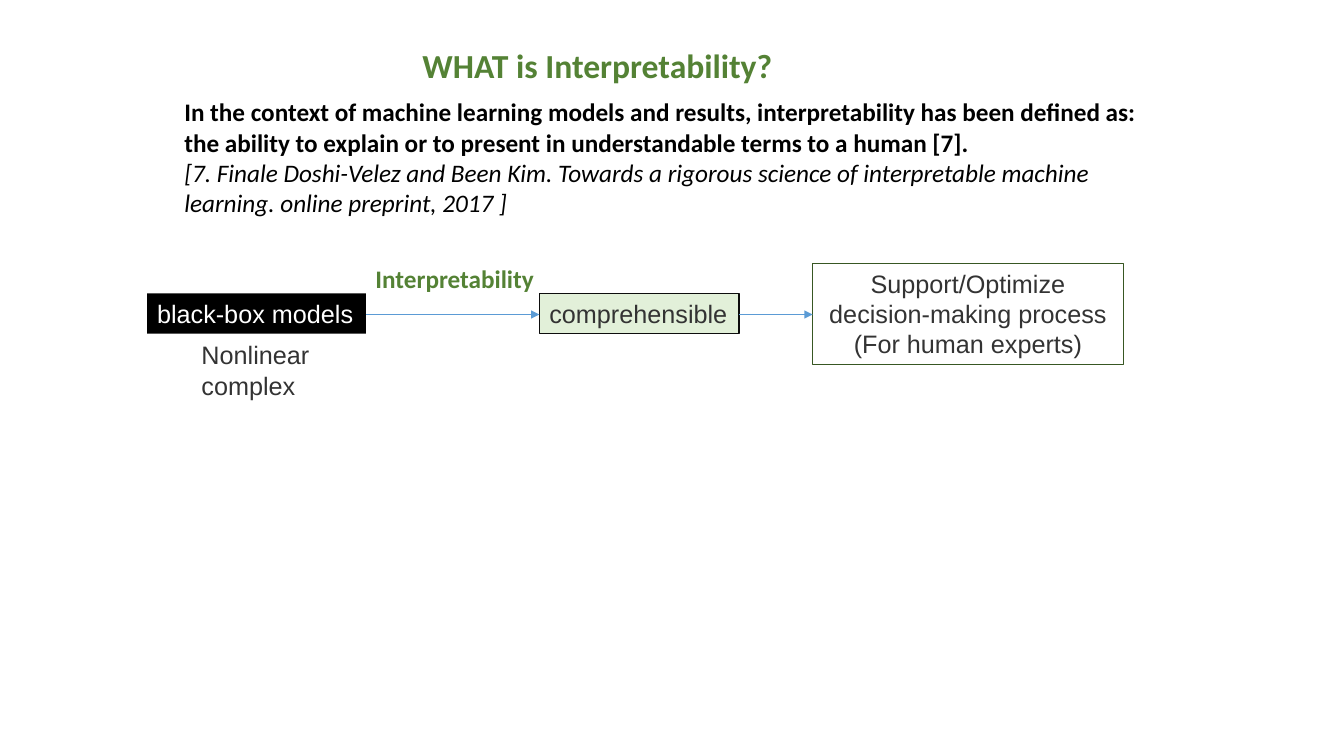
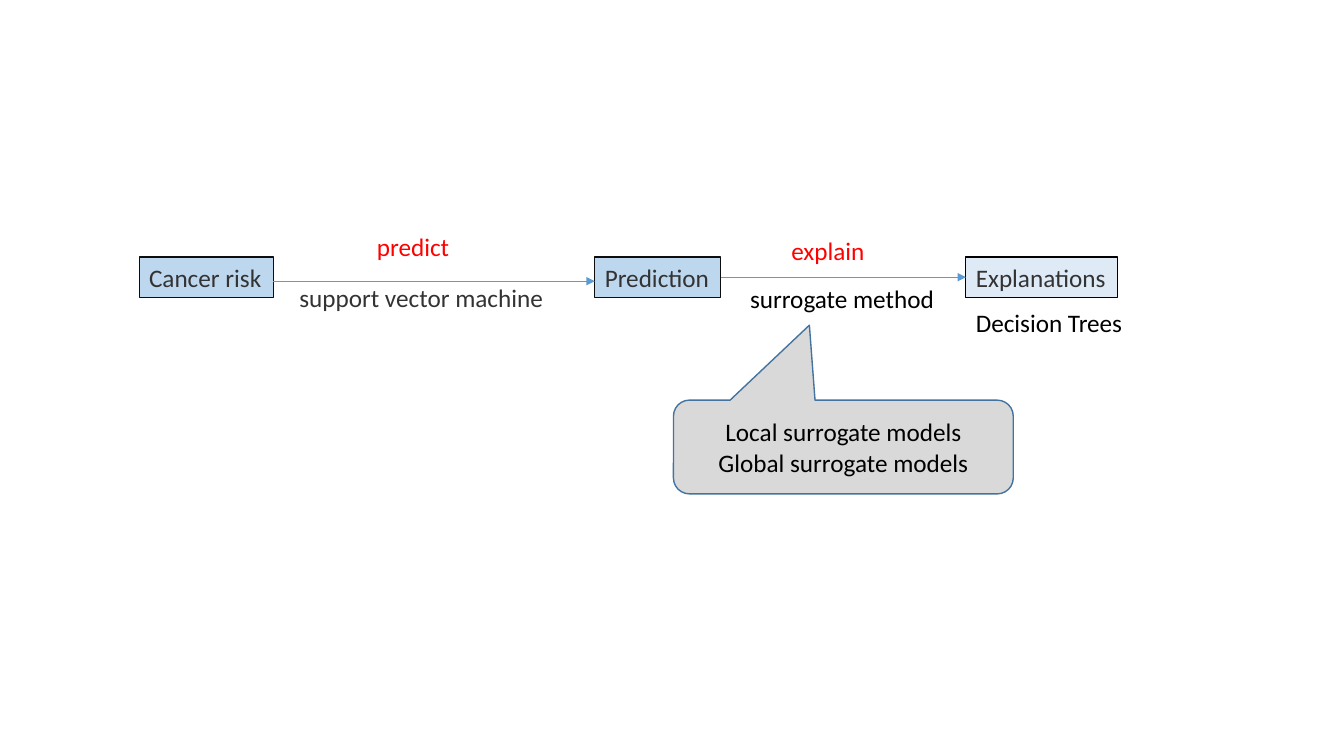
from pptx import Presentation
from pptx.dml.color import RGBColor
from pptx.enum.shapes import MSO_CONNECTOR, MSO_SHAPE
from pptx.enum.text import MSO_ANCHOR, MSO_AUTO_SIZE, PP_ALIGN
from pptx.oxml.ns import qn
from pptx.util import Inches, Pt
from lxml import etree

RECTANGLE = MSO_SHAPE.RECTANGLE
CALLOUT = MSO_SHAPE.ROUNDED_RECTANGULAR_CALLOUT
STRAIGHT = MSO_CONNECTOR.STRAIGHT
LEFT, CENTER = PP_ALIGN.LEFT, PP_ALIGN.CENTER
TOP, MIDDLE = MSO_ANCHOR.TOP, MSO_ANCHOR.MIDDLE
FIT_SHAPE = MSO_AUTO_SIZE.SHAPE_TO_FIT_TEXT

BLACK, WHITE, GREY = "000000", "FFFFFF", "333333"
GREEN, RED, ARROW_BLUE = "548235", "FF0000", "5B9BD5"
OUTLINE, STEP_BLUE = "0D0D0D", "BDD7EE"
ROW = 0.4


def color(hex_value):
    return RGBColor.from_string(hex_value)


def write(shape, lines, ink, font="Calibri", size=18, bold=False,
          align=LEFT, anchor=TOP, wrap=False):
    frame = shape.text_frame
    frame.word_wrap = wrap
    frame.vertical_anchor = anchor
    frame.text = lines
    for paragraph in frame.paragraphs:
        paragraph.alignment = align
        for run in paragraph.runs:
            run.font.name = font
            run.font.size = Pt(size)
            run.font.bold = bold
            run.font.color.rgb = color(ink)
    return frame


def place(origin, box):
    left, top, width, height = box
    return [Inches(v) for v in (origin[0] + left, origin[1] + top, width, height)]


def add_label(slide, origin, box, lines, ink, **style):
    label = slide.shapes.add_textbox(*place(origin, box))
    frame = write(label, lines, ink, **style)
    frame.auto_size = FIT_SHAPE
    return frame


def add_step(slide, origin, box, lines, ink=GREY, fill=None, line=None,
             weight=0.75, kind=RECTANGLE, **style):
    step = slide.shapes.add_shape(kind, *place(origin, box))
    step.shadow.inherit = False
    if fill:
        step.fill.solid()
        step.fill.fore_color.rgb = color(fill)
    else:
        step.fill.background()
    if line:
        step.line.color.rgb = color(line)
        step.line.width = Pt(weight)
    else:
        step.line.fill.background()
    write(step, lines, ink, **style)
    return step


def add_arrow(slide, origin, start, end, level):
    left, right = Inches(origin[0] + start), Inches(origin[0] + end)
    height = Inches(origin[1] + level)
    arrow = slide.shapes.add_connector(STRAIGHT, left, height, right, height)
    arrow.line.color.rgb = color(ARROW_BLUE)
    arrow.line.width = Pt(0.5)
    properties = arrow._element.spPr
    etree.SubElement(properties.find(qn("a:ln")), qn("a:tailEnd"), type="triangle")
    etree.SubElement(properties, qn("a:effectLst"))


def add_definition(slide, origin):
    add_label(slide, origin, (2.06, 0, 4.27, 0.5), "WHAT is Interpretability?",
              GREEN, size=24, bold=True, align=CENTER, wrap=True)
    definition = add_label(
        slide, origin, (0, 0.51, 9.92, 1.31),
        "In the context of machine learning models and results, interpretability "
        "has been defined as: the ability to explain or to present in "
        "understandable terms to a human [7].\n"
        "[7. Finale Doshi-Velez and Been Kim. Towards a rigorous science of "
        "interpretable machine learning. online preprint, 2017 ]",
        BLACK, bold=True, wrap=True)
    citation = definition.paragraphs[1].runs[0].font
    citation.bold, citation.italic = False, True


def add_interpretability_flow(slide, origin):
    add_step(slide, origin, (0, 0.35, 2.17, ROW), "black-box models",
             WHITE, fill=BLACK, font="Arial")
    add_step(slide, origin, (3.89, 0.35, 1.98, ROW), "comprehensible",
             fill="E2F0D9", line=OUTLINE, font="Arial")
    add_step(slide, origin, (6.6, 0.05, 3.08, 1.01),
             "Support/Optimize\ndecision-making process\n(For human experts)",
             line="385723", font="Arial", align=CENTER, wrap=True)
    for start, end in ((2.17, 3.89), (5.87, 6.6)):
        add_arrow(slide, origin, start, end, 0.56)
    add_label(slide, origin, (0.44, 0.76, 1.28, 0.71), "Nonlinear\ncomplex",
              GREY, font="Arial")
    add_label(slide, origin, (2.16, 0, 1.78, ROW), "Interpretability",
              GREEN, bold=True, align=CENTER)


def add_prediction_flow(slide, origin):
    for left, width, name, fill, line in (
            (0, 1.33, "Cancer risk", STEP_BLUE, OUTLINE),
            (4.52, 1.25, "Prediction", STEP_BLUE, OUTLINE),
            (8.2, 1.5, "Explanations", "DEEBF7", BLACK)):
        add_step(slide, origin, (left, 0.3, width, ROW), name, fill=fill, line=line)
    for start, end, level in ((1.33, 4.52, 0.54), (5.77, 8.2, 0.5)):
        add_arrow(slide, origin, start, end, level)
    for left, top, width, name, ink in (
            (2.26, 0, 0.93, "predict", RED),
            (1.49, 0.5, 2.65, "support vector machine", GREY),
            (6.37, 0.04, 0.94, "explain", RED),
            (5.96, 0.51, 2.05, "surrogate method", BLACK),
            (8.2, 0.75, 1.67, "Decision Trees", BLACK)):
        add_label(slide, origin, (left, top, width, ROW), name, ink)


def add_surrogate_callout(slide, origin):
    callout = add_step(slide, origin, (0, 0, 3.37, 0.93),
                       "Local surrogate models\nGlobal surrogate models", BLACK,
                       fill="D9D9D9", line="43739E", weight=1, kind=CALLOUT,
                       align=CENTER, anchor=MIDDLE, wrap=True)
    for index, value in enumerate((-0.1, -1.3, 0.17)):
        callout.adjustments[index] = value


def main():
    deck = Presentation()
    deck.slide_width, deck.slide_height = Inches(13.33), Inches(7.5)
    blank = deck.slide_layouts[6]

    interpretability = deck.slides.add_slide(blank)
    add_definition(interpretability, (1.73, 0.4))
    add_interpretability_flow(interpretability, (1.46, 2.56))

    surrogates = deck.slides.add_slide(blank)
    add_prediction_flow(surrogates, (1.38, 2.25))
    add_surrogate_callout(surrogates, (6.68, 3.97))

    deck.save("out.pptx")


if __name__ == "__main__":
    main()
